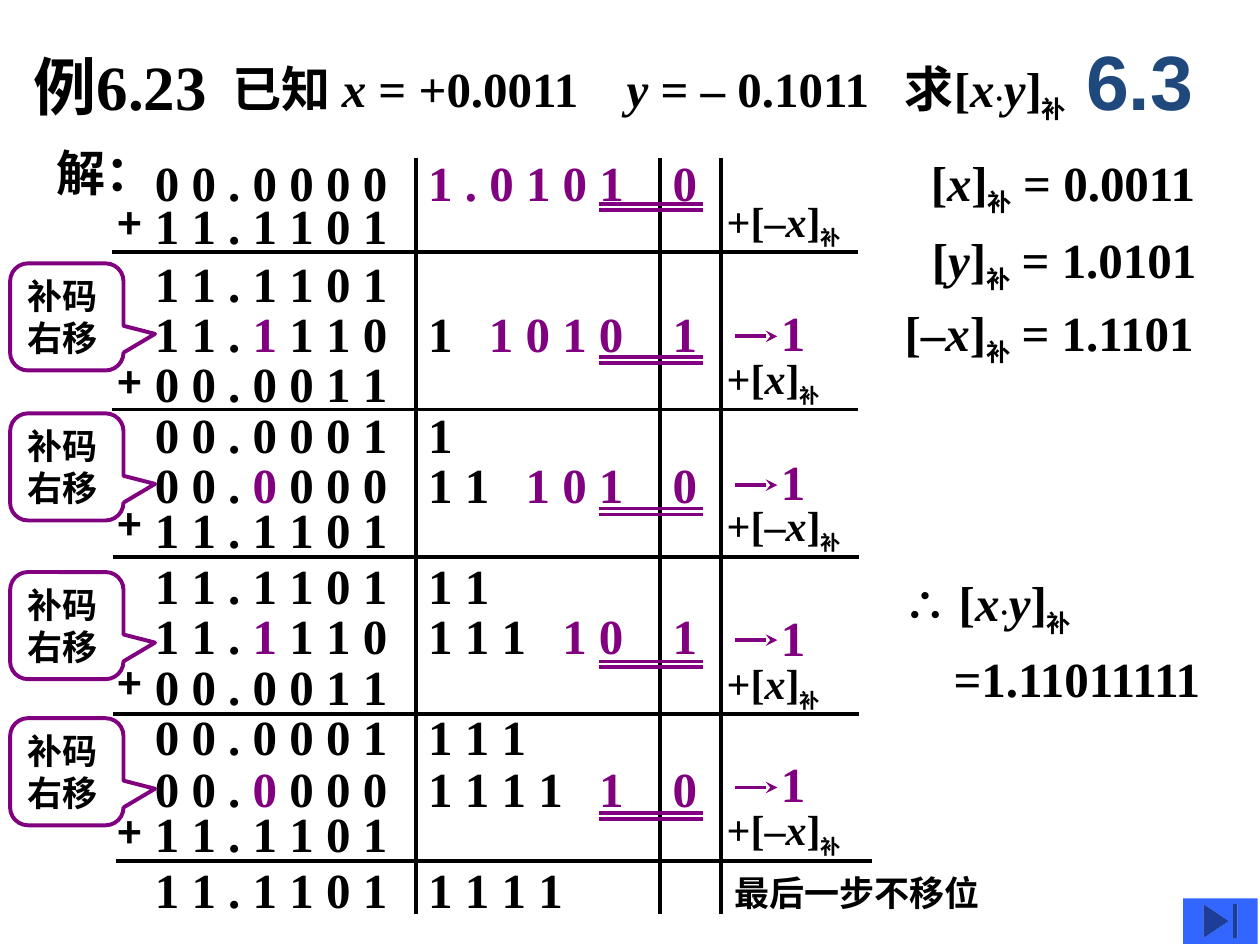
import itertools
import lxml.etree
import pptx
import pptx.dml.color
import pptx.enum.shapes
import pptx.enum.text
import pptx.oxml.ns
import pptx.util

Pt = pptx.util.Pt
qn = pptx.oxml.ns.qn
BLACK = pptx.dml.color.RGBColor(0, 0, 0)
PURPLE = pptx.dml.color.RGBColor(0x80, 0, 0x80)
NAVY = pptx.dml.color.RGBColor(0x1F, 0x49, 0x7D)
BLUE = pptx.dml.color.RGBColor(0x33, 0x66, 0xFF)
SERIF = "Times New Roman"
SANS = "Noto Sans CJK SC"

presentation = pptx.Presentation()
presentation.slide_width = Pt(720)
presentation.slide_height = Pt(540)
slide = presentation.slides.add_slide(presentation.slide_layouts[6])


def add_text(left, top, width, height, text, size=28, font=SERIF, wrap=False, tabs=()):
    box = slide.shapes.add_textbox(Pt(left), Pt(top), Pt(width), Pt(height))
    box.text_frame.word_wrap = wrap
    paragraph = box.text_frame.paragraphs[0]
    if tabs:
        tab_list = lxml.etree.SubElement(paragraph._p.get_or_add_pPr(), qn("a:tabLst"))
        for position, alignment in tabs:
            lxml.etree.SubElement(tab_list, qn("a:tab"), pos=str(Pt(position)), algn=alignment)
    for part, color in zip(text.split("|"), itertools.cycle((BLACK, PURPLE))):
        for kind, letters in itertools.groupby(part, lambda c: c if c in "xy补·∴" else ""):
            run = paragraph.add_run()
            run.text = "".join(letters)
            run.font.size = Pt(size - 4 if kind in ("补", "∴") else size)
            run.font.name = SANS if kind == "∴" else font
            run.font.bold = True
            run.font.italic = kind in ("x", "y")
            run.font.color.rgb = color
            if kind in ("补", "·"):
                run._r.get_or_add_rPr().set("baseline", "-25000" if kind == "补" else "-1000")
    return box


def add_line(x1, y1, x2, y2, color=BLACK, arrow=False):
    line = slide.shapes.add_connector(
        pptx.enum.shapes.MSO_CONNECTOR.STRAIGHT, Pt(x1), Pt(y1), Pt(x2), Pt(y2))
    line.line.color.rgb = color
    line.line.width = Pt(2.25)
    if arrow:
        lxml.etree.SubElement(line.line._get_or_add_ln(), qn("a:tailEnd"), type="stealth")
    lxml.etree.SubElement(line._element.spPr, qn("a:effectLst"))


add_text(12.2, 23.8, 257.8, 50.4, "例6.23", 36, wrap=True)
add_text(126, 30.2, 570, 41, "已知 x = +0.0011\ty = – 0.1011\t求[x·y]补", wrap=True,
         tabs=[(225, "l"), (384, "l")])
add_text(25.2, 77.8, 70.6, 41, "解：")

rows = [
    (83.5, "0 0 . 0 0 0 0", "|1 . 0 1 0 1", "0"),
    (108, "1 1 . 1 1 0 1", "", ""),
    (141.1, "1 1 . 1 1 0 1", "", ""),
    (169.9, "1 1 . |1| 1 1 0", "1\t|1 0 1 0", "1"),
    (198.7, "0 0 . 0 0 1 1", "", ""),
    (227.5, "0 0 . 0 0 0 1", "1", ""),
    (256.3, "0 0 . |0| 0 0 0", "1 1\t|1 0 1", "0"),
    (282.2, "1 1 . 1 1 0 1", "", ""),
    (313.9, "1 1 . 1 1 0 1", "1 1", ""),
    (342.7, "1 1 . |1| 1 1 0", "1 1 1\t|1 0", "1"),
    (371.5, "0 0 . 0 0 1 1", "", ""),
    (400.3, "0 0 . 0 0 0 1", "1 1 1", ""),
    (429.8, "0 0 . |0| 0 0 0", "1 1 1 1\t|1", "0"),
    (455.8, "1 1 . 1 1 0 1", "", ""),
    (487.4, "1 1 . 1 1 0 1", "1 1 1 1", ""),
]
for top, partial_product, multiplier, extra_bit in rows:
    add_text(81.4, top, 147.6, 41, partial_product)
    if multiplier:
        add_text(237.6, top, 138.2, 41, multiplier,
                 tabs=[(111.6, "r")] if "\t" in multiplier else ())
    if extra_bit:
        add_text(377.3, top, 28.8, 41, "|" + extra_bit)

additions = [
    (108, 109.4, "+[–x]补", 64, 490.3, 144),
    (198, 200.2, "+[x]补", 64, 490.3, 234),
    (282.2, 281.5, "+[–x]补", 64.8, 491, 318.2),
    (372.2, 372.2, "+[x]补", 64.8, 491, 408.2),
    (455.8, 457.2, "+[–x]补", 66.2, 498.2, 491.8),
]
for top, plus_top, addend, left, right, rule_y in additions:
    add_text(408.2, top, 102.2, 36, addend, 24, wrap=True)
    add_text(59.8, plus_top, 42.5, 36, "+", 24, SANS, wrap=True)
    add_line(left, rule_y, right, rule_y)

for x in (237.6, 377.3, 411.8):
    add_line(x, 90, x, 522)

for y in (116.6, 203.8, 290.6, 378, 464.4):
    for offset in (0, 3.4):
        add_line(342, y + offset, 401.8, y + offset, PURPLE)

for arrow_y, digit_top in ((192.2, 169.2), (277.2, 254.2), (365.8, 343.4), (450, 427)):
    add_line(419.8, arrow_y, 444.2, arrow_y, PURPLE, arrow=True)
    add_text(439.2, digit_top, 28.8, 41, "|1")

add_text(524.8, 83.5, 195.2, 41, "[x]补 = 0.0011", wrap=True)
add_text(525.5, 127.4, 194.5, 41, "[y]补 = 1.0101", wrap=True)
add_text(509.8, 169.2, 210.2, 41, "[–x]补 = 1.1101", wrap=True)

result = add_text(509.8, 326.9, 203.8, 81.4, "∴ [x·y]补", wrap=True)
result.text_frame.paragraphs[0].line_spacing = 0.85
paragraph = result.text_frame.add_paragraph()
paragraph.text = "=1.11011111"
paragraph.line_spacing = 0.85
paragraph.space_before = Pt(14)
paragraph._p.get_or_add_pPr().set("marL", str(Pt(28)))
paragraph.runs[0].font.size = Pt(28)
paragraph.runs[0].font.name = SERIF
paragraph.runs[0].font.bold = True
paragraph.runs[0].font.color.rgb = BLACK

remark = add_text(418.2, 498.2, 146.3, 23.8, "最后一步不移位", 20)
remark.text_frame.margin_left = remark.text_frame.margin_right = Pt(1.4)
remark.text_frame.margin_top = remark.text_frame.margin_bottom = 0

section = add_text(606.2, 12.2, 90, 66.2, "6.3", 44, "Arial", wrap=True)
section.text_frame.vertical_anchor = pptx.enum.text.MSO_ANCHOR.MIDDLE
section.text_frame.paragraphs[0].alignment = pptx.enum.text.PP_ALIGN.CENTER
section.text_frame.paragraphs[0].runs[0].font.color.rgb = NAVY

for top in (150.5, 236.2, 326.9, 410.4):
    callout = slide.shapes.add_shape(
        pptx.enum.shapes.MSO_SHAPE.ROUNDED_RECTANGULAR_CALLOUT, Pt(5.8), Pt(top), Pt(64.8), Pt(61.2))
    callout.shadow.inherit = False
    for index, value in enumerate((0.778, 0.159, 0.167)):
        callout.adjustments[index] = value
    callout.fill.background()
    callout.line.color.rgb = PURPLE
    callout.line.width = Pt(2.25)
    callout.text_frame.word_wrap = True
    callout.text_frame.vertical_anchor = pptx.enum.text.MSO_ANCHOR.TOP
    paragraph = callout.text_frame.paragraphs[0]
    paragraph.text = "补码右移"
    paragraph.alignment = pptx.enum.text.PP_ALIGN.LEFT
    paragraph.runs[0].font.size = Pt(20)
    paragraph.runs[0].font.name = SERIF
    paragraph.runs[0].font.bold = True
    paragraph.runs[0].font.color.rgb = BLACK

button = slide.shapes.add_shape(
    pptx.enum.shapes.MSO_SHAPE.ACTION_BUTTON_END, Pt(676.1), Pt(513.4), Pt(42.5), Pt(25.9))
button.shadow.inherit = False
button.fill.solid()
button.fill.fore_color.rgb = BLUE
button.line.fill.background()

presentation.save("out.pptx")
